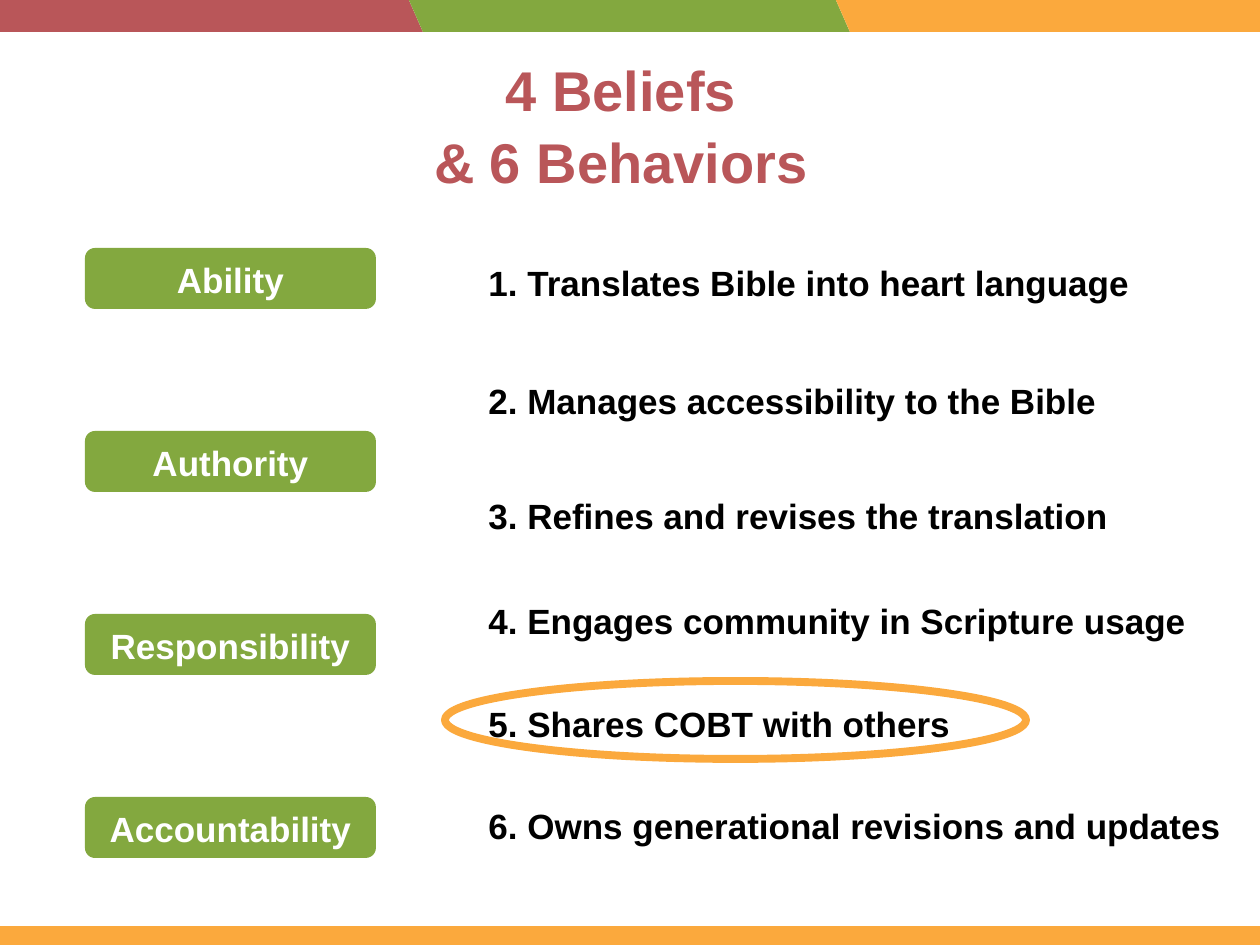
"""Build the slide on four beliefs and six behaviors."""
from dataclasses import dataclass

import pptx
import pptx.dml.color
import pptx.enum.shapes
import pptx.enum.text
import pptx.util


@dataclass(frozen=True)
class Theme:
    red: str = "B95659"
    green: str = "83A83F"
    orange: str = "FBA93D"
    black: str = "000000"
    white: str = "FFFFFF"
    font: str = "Arial"
    title_size: int = 32
    text_size: int = 20
    ring_width: float = 4.5


theme = Theme()
SCALE = 914400 / 126
rgb = pptx.dml.color.RGBColor.from_string
MSO_SHAPE = pptx.enum.shapes.MSO_SHAPE
ALIGN = pptx.enum.text.PP_ALIGN
ANCHOR = pptx.enum.text.MSO_ANCHOR


def emu(*lengths):
    return [pptx.util.Emu(round(length * SCALE)) for length in lengths]


def write(box, text, size=theme.text_size, color=theme.black, align=ALIGN.LEFT,
          anchor=ANCHOR.TOP, inset=9, spacing=1.0):
    frame = box.text_frame
    frame.word_wrap = True
    frame.auto_size = pptx.enum.text.MSO_AUTO_SIZE.NONE
    frame.vertical_anchor = anchor
    frame.margin_top, frame.margin_bottom = emu(inset, 6)
    line = frame.paragraphs[0]
    line.text = text
    line.alignment = align
    line.line_spacing = spacing
    line.space_before = pptx.util.Pt(0)
    line.font.name = theme.font
    line.font.size = pptx.util.Pt(size)
    line.font.bold = True
    line.font.color.rgb = rgb(color)


deck = pptx.Presentation()
deck.slide_width, deck.slide_height = emu(1260, 945)
slide = deck.slides.add_slide(deck.slide_layouts[5])
shapes = slide.shapes

for index, color in enumerate((theme.red, theme.green, theme.orange)):
    band = shapes.add_shape(MSO_SHAPE.PARALLELOGRAM, *emu(-18 + 427 * index, 0, 441, 32))
    band.adjustments[0] = 0.44
    band._element.spPr.xfrm.set("flipH", "1")
    band.shadow.inherit = False
    band.fill.solid()
    band.fill.fore_color.rgb = rgb(color)
    band.line.fill.background()

footer = shapes.add_shape(MSO_SHAPE.RECTANGLE, *emu(0, 926, 1260, 19))
footer.shadow.inherit = False
footer.fill.solid()
footer.fill.fore_color.rgb = rgb(theme.orange)
footer.line.fill.background()

heading = shapes.title
heading.left, heading.top, heading.width, heading.height = emu(87, 53, 1068, 60)
subheading = shapes.add_textbox(*emu(87, 125, 1068, 60))
for part, text in ((heading, "4 Beliefs"), (subheading, "& 6 Behaviors")):
    write(part, text, size=theme.title_size, color=theme.red, align=ALIGN.CENTER,
          inset=10, spacing=0.9)

beliefs = ("Ability", "Authority", "Responsibility", "Accountability")
for index, belief in enumerate(beliefs):
    label = shapes.add_shape(MSO_SHAPE.ROUNDED_RECTANGLE, *emu(85, 248 + 183 * index, 291, 61))
    label.shadow.inherit = False
    label.fill.solid()
    label.fill.fore_color.rgb = rgb(theme.green)
    label.line.fill.background()
    write(label, belief, color=theme.white, align=ALIGN.CENTER, anchor=ANCHOR.MIDDLE)

behaviors = (
    ("Translates Bible into heart language", 253, 683),
    ("Manages accessibility to the Bible", 370, 683),
    ("Refines and revises the translation", 485, 683),
    ("Engages community in Scripture usage", 590, 727),
    ("Shares COBT with others", 693, 727),
    ("Owns generational revisions and updates", 796, 772),
)
for number, (behavior, top, width) in enumerate(behaviors, start=1):
    write(shapes.add_textbox(*emu(476, top, width, 55)), f"{number}. {behavior}")

ring = shapes.add_shape(MSO_SHAPE.OVAL, *emu(445, 681, 581, 78))
ring.shadow.inherit = False
ring.fill.background()
ring.line.color.rgb = rgb(theme.orange)
ring.line.width = pptx.util.Pt(theme.ring_width)

deck.save("out.pptx")
